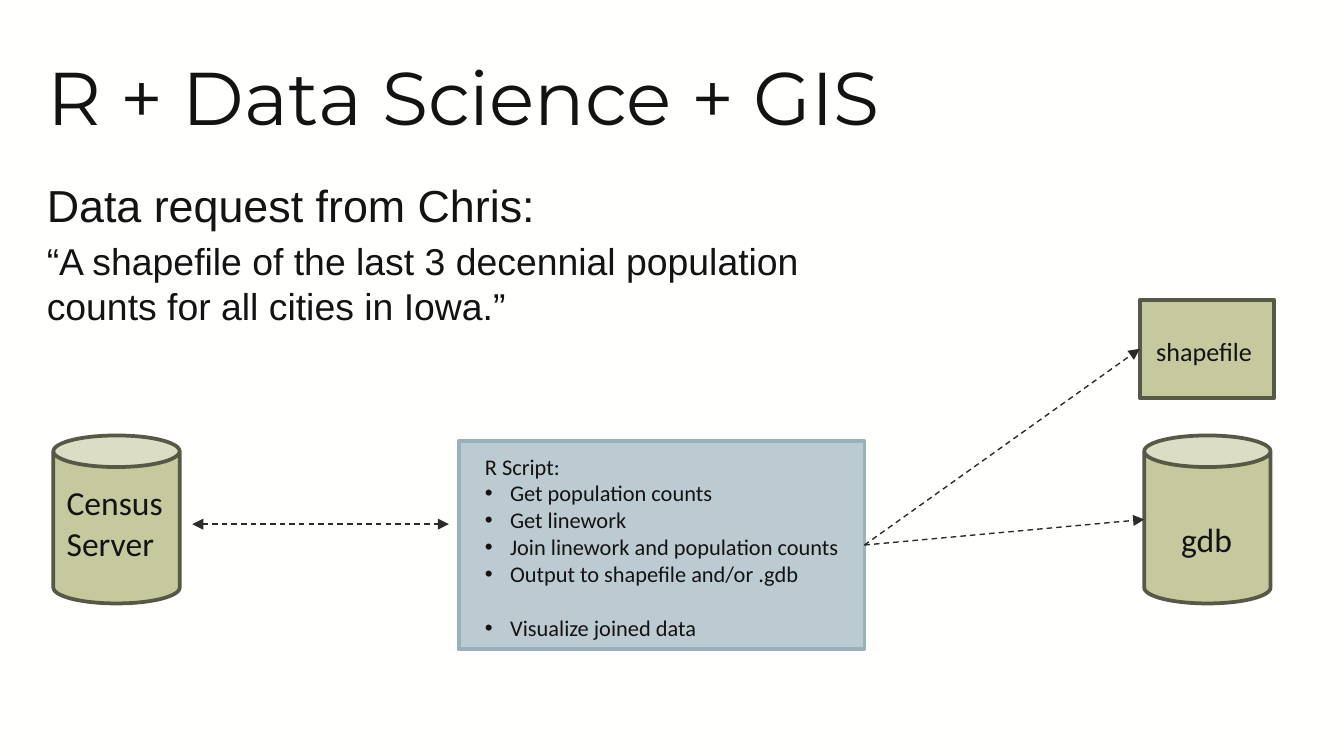
from lxml import etree
from pptx import Presentation
from pptx.dml.color import RGBColor
from pptx.enum.dml import MSO_LINE
from pptx.enum.shapes import MSO_CONNECTOR, MSO_SHAPE
from pptx.enum.text import MSO_ANCHOR, PP_ALIGN
from pptx.oxml.ns import qn
from pptx.util import Pt

CAN, RECT = MSO_SHAPE.CAN, MSO_SHAPE.RECTANGLE
LINE, DASH = MSO_CONNECTOR.STRAIGHT, MSO_LINE.DASH
MIDDLE, TOP = MSO_ANCHOR.MIDDLE, MSO_ANCHOR.TOP
LEFT, CENTER = PP_ALIGN.LEFT, PP_ALIGN.CENTER
LEFT_SIDE, RIGHT_SIDE = 1, 3

COLORS = {
    "page": "FFFFFE",
    "text": "141313",
    "green": "C6C99D",
    "olive": "575845",
    "blue": "BCCAD2",
    "steel": "9AB0BC",
    "arrow": "2C2A2A",
}


def color(name):
    return RGBColor.from_string(COLORS[name])


class Board:
    def __init__(self, slide):
        self.slide = slide
        self.font = "Calibri"
        fill = slide.background.fill
        fill.solid()
        fill.fore_color.rgb = color("page")

    def style(self, para, size, font=None, align=LEFT):
        para.alignment = align
        for run in para.runs:
            run.font.name = font or self.font
            run.font.size = Pt(size)
            run.font.color.rgb = color("text")

    def title(self, text, box, size, font):
        shape = self.slide.shapes.title
        shape.left, shape.top, shape.width, shape.height = map(Pt, box)
        frame = shape.text_frame
        frame.text = text
        frame.vertical_anchor = MIDDLE
        self.style(frame.paragraphs[0], size, font)

    def shape(self, kind, box, fill, line):
        shape = self.slide.shapes.add_shape(kind, *map(Pt, box))
        shape.shadow.inherit = False
        shape.fill.solid()
        shape.fill.fore_color.rgb = color(fill)
        shape.line.color.rgb = color(line)
        shape.line.width = Pt(2)
        return shape

    def text(self, lines, box, size, font=None, align=LEFT):
        frame = self.slide.shapes.add_textbox(*map(Pt, box)).text_frame
        frame.word_wrap = True
        frame.vertical_anchor = TOP
        frame.text = "\n".join(lines)
        for para in frame.paragraphs:
            self.style(para, size, font, align)
        return frame.paragraphs

    def bullet(self, para):
        props = para._p.get_or_add_pPr()
        props.set("marL", str(Pt(13.5)))
        props.set("indent", str(-Pt(13.5)))
        etree.SubElement(props, qn("a:buFont")).set("typeface", "Arial")
        etree.SubElement(props, qn("a:buChar")).set("char", "•")

    def arrow(self, start, end, ends=("tailEnd",)):
        link = self.slide.shapes.add_connector(LINE, *map(Pt, start + end))
        link.line.color.rgb = color("arrow")
        link.line.width = Pt(0.75)
        link.line.dash_style = DASH
        for name in ends:
            tip = etree.SubElement(link.line._get_or_add_ln(), qn("a:" + name))
            tip.set("type", "triangle")
        etree.SubElement(link._element.spPr, qn("a:effectLst"))
        return link


def main():
    deck = Presentation()
    deck.slide_width, deck.slide_height = Pt(720), Pt(405)
    board = Board(deck.slides.add_slide(deck.slide_layouts[5]))

    board.title("R + Data Science + GIS", (18, 17.5, 684.5, 67.5), 40, "Montserrat")
    request = board.text(
        ["Data request from Chris:",
         "“A shapefile of the last 3 decennial population counts for all cities in Iowa.”"],
        (18, 91.5, 456.5, 96.5), 20, "Arial")
    board.style(request[0], 24, "Arial")
    request[1].space_before = Pt(4)

    for left in (28.6, 613):
        board.shape(CAN, (left, 233.3, 67.7, 90), "green", "olive")
    script = board.shape(RECT, (245.7, 236.2, 217.4, 111.6), "blue", "steel")
    output = board.shape(RECT, (610.6, 160.6, 72, 52.6), "green", "olive")

    steps = board.text(
        ["R Script:", "Get population counts", "Get linework",
         "Join linework and population counts",
         "Output to shapefile and/or .gdb", "Visualize joined data"],
        (252.7, 239, 210.4, 108.7), 12)
    steps[-1].space_before = Pt(14.6)
    for para in steps[1:]:
        board.bullet(para)

    board.text(["shapefile"], (610.6, 176.4, 69, 24.5), 14, align=CENTER)
    board.text(["gdb"], (625.7, 274.3, 71.3, 28.8), 18)
    board.text(["Census Server"], (28.6, 254.9, 85.7, 51), 18)

    source = (463.1, 292)
    first = board.arrow(source, (610.6, 186.9))
    second = board.arrow(source, (613, 278.3))
    for link in (first, second):
        link.begin_connect(script, RIGHT_SIDE)
    first.end_connect(output, LEFT_SIDE)
    board.arrow((103, 280.8), (240.5, 280.8), ("headEnd", "tailEnd"))

    deck.save("out.pptx")


if __name__ == "__main__":
    main()
